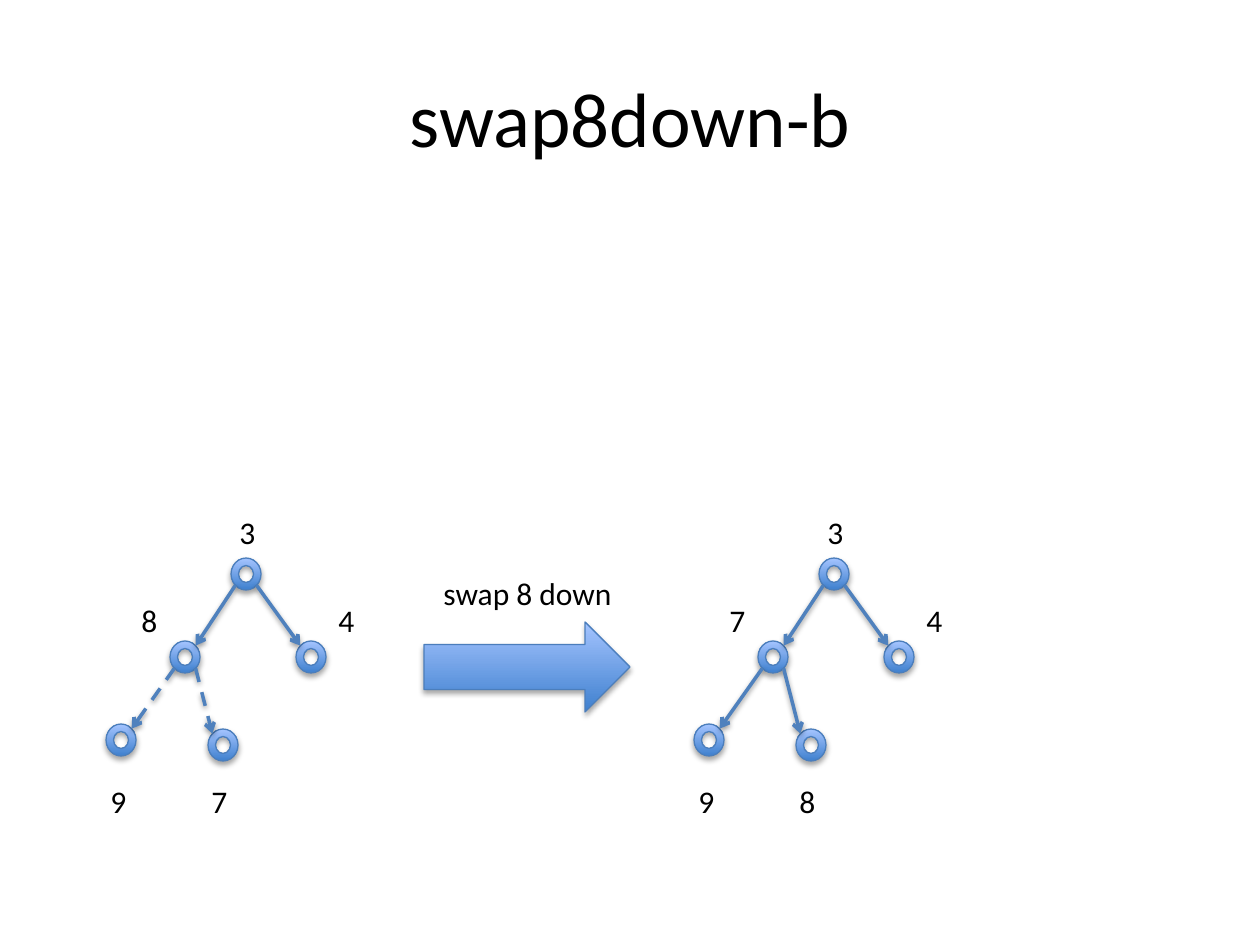
from dataclasses import dataclass
from math import sqrt

from lxml.etree import SubElement
from pptx import Presentation
from pptx.dml.color import RGBColor
from pptx.enum.dml import MSO_LINE
from pptx.enum.shapes import MSO_CONNECTOR, MSO_SHAPE
from pptx.enum.text import MSO_ANCHOR, MSO_AUTO_SIZE, PP_ALIGN
from pptx.oxml.ns import qn
from pptx.util import Emu, Pt

PIXELS_PER_INCH = 126
FONT = "Calibri"
BLACK = "000000"
NODE_WIDTH, NODE_HEIGHT = 30, 32
LABEL_WIDTH, LABEL_HEIGHT = 42, 50


@dataclass(frozen=True)
class Node:
    """Centre of a ring and top left corner of its label."""
    x: int
    y: int
    label_x: int
    label_y: int


@dataclass(frozen=True)
class Tree:
    offset: int
    values: str
    dashed_edges: tuple


NODES = (
    Node(246, 574, 227, 507),
    Node(185, 657, 129, 595),
    Node(311, 657, 326, 595),
    Node(121, 740, 98, 776),
    Node(223, 745, 199, 776),
)
EDGES = ((0, 1), (0, 2), (1, 3), (1, 4))
TREES = (
    Tree(0, "38497", ((1, 3), (1, 4))),
    Tree(588, "37498", ()),
)


def px(length: float) -> Emu:
    return Emu(round(length * 914400 / PIXELS_PER_INCH))


def color(value: str) -> RGBColor:
    return RGBColor.from_string(value)


def add_shadow(effects, opacity: int, distance: float) -> None:
    shadow = SubElement(
        effects, qn("a:outerShdw"), blurRad=str(Pt(3.1)), dist=str(Pt(distance)),
        dir="5400000", rotWithShape="0")
    tone = SubElement(shadow, qn("a:srgbClr"), val=BLACK)
    SubElement(tone, qn("a:alpha"), val=str(opacity * 1000))


def add_glossy_shape(shapes, kind: MSO_SHAPE, left: int, top: int,
                     width: int, height: int) -> None:
    shape = shapes.add_shape(kind, px(left), px(top), px(width), px(height))
    shape.fill.gradient()
    shape.fill.gradient_angle = 90
    for stop, tone in zip(shape.fill.gradient_stops, ("3F80CE", "A4C4FF")):
        stop.color.rgb = color(tone)
    shape.line.color.rgb = color("4B7EBC")
    shape.line.width = Pt(0.75)
    shape.shadow.inherit = False
    add_shadow(shape._element.spPr.find(qn("a:effectLst")), 35, 1.8)


def add_edge(shapes, parent: Node, child: Node, offset: int, dashed: bool) -> None:
    # Edges meet the rings at their diagonal points
    side = 1 if child.x > parent.x else -1
    reach_x = side * NODE_WIDTH / 2 / sqrt(2)
    reach_y = NODE_HEIGHT / 2 / sqrt(2)
    edge = shapes.add_connector(
        MSO_CONNECTOR.STRAIGHT,
        px(parent.x + offset + reach_x), px(parent.y + reach_y),
        px(child.x + offset - reach_x), px(child.y - reach_y))
    edge.line.color.rgb = color("4F81BD")
    edge.line.width = Pt(2)
    if dashed:
        edge.line.dash_style = MSO_LINE.DASH
    properties = edge._element.spPr
    SubElement(properties.find(qn("a:ln")), qn("a:tailEnd"), type="arrow")
    add_shadow(SubElement(properties, qn("a:effectLst")), 38, 1.6)


def add_span(para, text: str, size: int) -> None:
    span = para.add_run()
    span.text = text
    span.font.name = FONT
    span.font.size = Pt(size)
    span.font.color.rgb = color(BLACK)


def add_label(shapes, text: str, left: int, top: int, width: int) -> None:
    box = shapes.add_textbox(px(left), px(top), px(width), px(LABEL_HEIGHT))
    box.text_frame.word_wrap = False
    box.text_frame.auto_size = MSO_AUTO_SIZE.SHAPE_TO_FIT_TEXT
    add_span(box.text_frame.paragraphs[0], text, 18)


def add_tree(page, tree: Tree) -> None:
    shapes = page.shapes.add_group_shape().shapes
    for node in NODES:
        add_glossy_shape(shapes, MSO_SHAPE.DONUT,
                         node.x + tree.offset - NODE_WIDTH // 2,
                         node.y - NODE_HEIGHT // 2, NODE_WIDTH, NODE_HEIGHT)
    for start, end in EDGES:
        add_edge(shapes, NODES[start], NODES[end], tree.offset,
                 (start, end) in tree.dashed_edges)
    for node, value in zip(NODES, tree.values):
        add_label(shapes, value, node.label_x + tree.offset, node.label_y, LABEL_WIDTH)


def add_title(page, text: str) -> None:
    title = page.shapes.title
    title.left, title.top, title.width, title.height = map(px, (63, 38, 1134, 158))
    title.text_frame.vertical_anchor = MSO_ANCHOR.MIDDLE
    para = title.text_frame.paragraphs[0]
    para.alignment = PP_ALIGN.CENTER
    add_span(para, text, 44)


def main() -> None:
    deck = Presentation()
    deck.slide_width, deck.slide_height = px(1260), px(945)
    page = deck.slides.add_slide(deck.slide_layouts[5])
    add_title(page, "swap8down-b")

    # Step between the two trees
    add_glossy_shape(page.shapes, MSO_SHAPE.RIGHT_ARROW, 424, 622, 206, 90)
    add_label(page.shapes, "swap 8 down", 431, 568, 195)

    # Heap before and after the swap
    for tree in TREES:
        add_tree(page, tree)

    deck.save("out.pptx")


if __name__ == "__main__":
    main()
